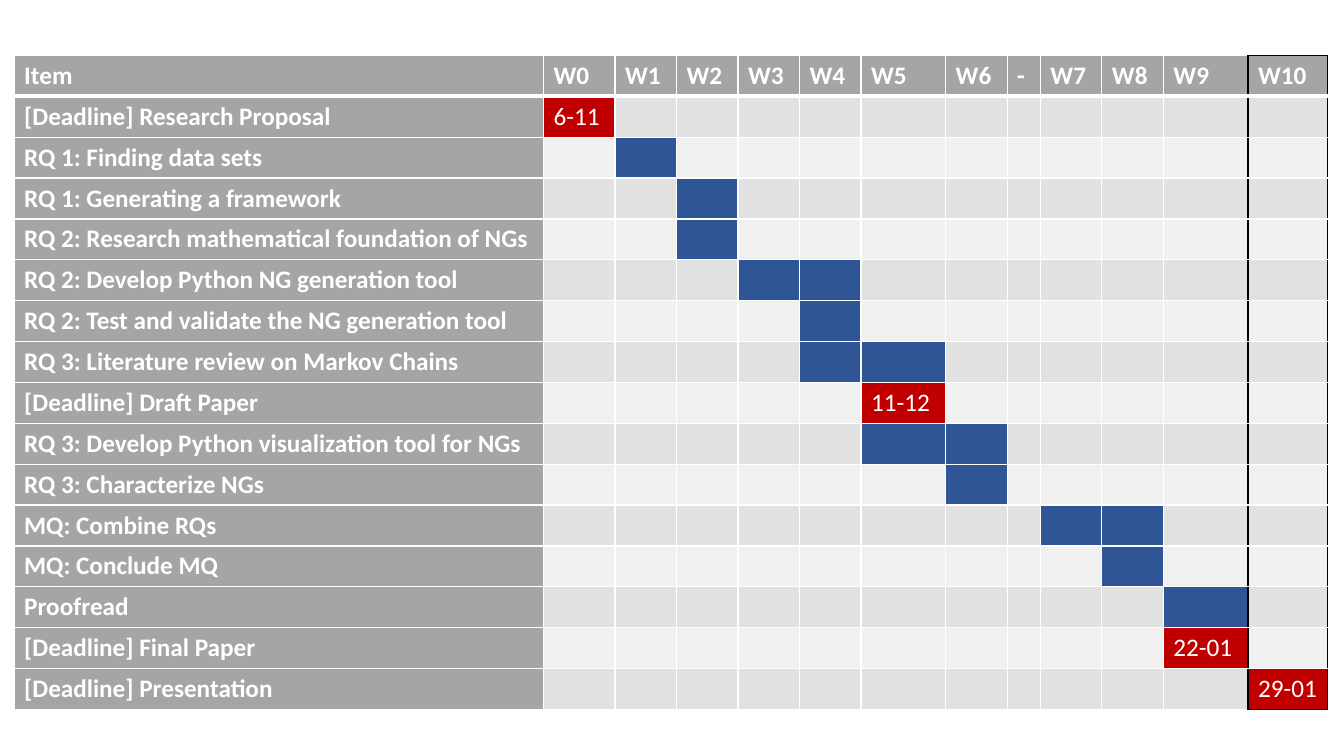
from dataclasses import dataclass

from lxml import etree
from pptx import Presentation
from pptx.dml.color import RGBColor
from pptx.oxml import ns
from pptx.util import Inches, Pt

ITEM_WIDTH = 5.25
WEEKS = [  # label, column width in inches
    ("W0", 0.71), ("W1", 0.61), ("W2", 0.61), ("W3", 0.61), ("W4", 0.61),
    ("W5", 0.84), ("W6", 0.61), ("-", 0.33), ("W7", 0.61), ("W8", 0.61),
    ("W9", 0.84), ("W10", 0.79),
]
TASKS = [  # label, weeks worked on, or one week with its deadline
    ("[Deadline] Research Proposal", {"W0": "6-11"}),
    ("RQ 1: Finding data sets", ["W1"]),
    ("RQ 1: Generating a framework", ["W2"]),
    ("RQ 2: Research mathematical foundation of NGs", ["W2"]),
    ("RQ 2: Develop Python NG generation tool", ["W3", "W4"]),
    ("RQ 2: Test and validate the NG generation tool", ["W4"]),
    ("RQ 3: Literature review on Markov Chains", ["W4", "W5"]),
    ("[Deadline] Draft Paper", {"W5": "11-12"}),
    ("RQ 3: Develop Python visualization tool for NGs", ["W5", "W6"]),
    ("RQ 3: Characterize NGs", ["W6"]),
    ("MQ: Combine RQs", ["W7", "W8"]),
    ("MQ: Conclude MQ", ["W8"]),
    ("Proofread", ["W9"]),
    ("[Deadline] Final Paper", {"W9": "22-01"}),
    ("[Deadline] Presentation", {"W10": "29-01"}),
]


@dataclass(frozen=True)
class Theme:
    font: str = "Calibri"
    size: int = 18
    white: str = "FFFFFF"
    black: str = "000000"
    heading: str = "A5A5A5"
    bands: tuple = ("F0F0F0", "E1E1E1")
    work: str = "2F5597"
    deadline: str = "C00000"
    thin: int = 1
    thick: int = 3


THEME = Theme()


def set_borders(cell, row, column, last_row, last_column):
    """White grid, with a black frame around the last column."""
    framed = column == last_column
    black_sides = {
        "L": framed,
        "R": column >= last_column - 1,
        "T": framed and row == 0,
        "B": framed and row == last_row,
    }
    properties = cell._tc.get_or_add_tcPr()
    for side, is_black in black_sides.items():
        width = THEME.thick if side == "B" and row == 0 else THEME.thin
        line = etree.SubElement(properties, ns.qn(f"a:ln{side}"), w=str(Pt(width)))
        fill = etree.SubElement(line, ns.qn("a:solidFill"))
        color = THEME.black if is_black else THEME.white
        etree.SubElement(fill, ns.qn("a:srgbClr"), val=color)


def set_cell(cell, label, color, bold):
    cell.fill.solid()
    cell.fill.fore_color.rgb = RGBColor.from_string(color)
    cell.text = label
    font = cell.text_frame.paragraphs[0].font
    font.name = THEME.font
    font.size = Pt(THEME.size)
    font.bold = bold
    font.color.rgb = RGBColor.from_string(THEME.white)


def cell_content(row, column):
    """Label, fill colour and boldness of one cell."""
    if row == 0:
        return (["Item"] + [week for week, _ in WEEKS])[column], THEME.heading, True
    task, schedule = TASKS[row - 1]
    if column == 0:
        return task, THEME.heading, True
    week = WEEKS[column - 1][0]
    if week not in schedule:
        return "", THEME.bands[row % 2], False
    if isinstance(schedule, dict):
        return schedule[week], THEME.deadline, False
    return "", THEME.work, False


def add_schedule(slide):
    widths = [ITEM_WIDTH] + [width for _, width in WEEKS]
    row_count, column_count = len(TASKS) + 1, len(widths)
    table = slide.shapes.add_table(
        row_count, column_count, Inches(0.14), Inches(0.55),
        Inches(sum(widths)), Inches(0.4 * row_count),
    ).table
    table.horz_banding = False
    table.first_row = False
    for column, width in enumerate(widths):
        table.columns[column].width = Inches(width)
    for row in range(row_count):
        for column in range(column_count):
            cell = table.cell(row, column)
            set_borders(cell, row, column, row_count - 1, column_count - 1)
            set_cell(cell, *cell_content(row, column))


def main():
    presentation = Presentation()
    presentation.slide_width = Inches(13.33)
    presentation.slide_height = Inches(7.5)
    slide = presentation.slides.add_slide(presentation.slide_layouts[6])
    add_schedule(slide)
    presentation.save("out.pptx")


if __name__ == "__main__":
    main()
